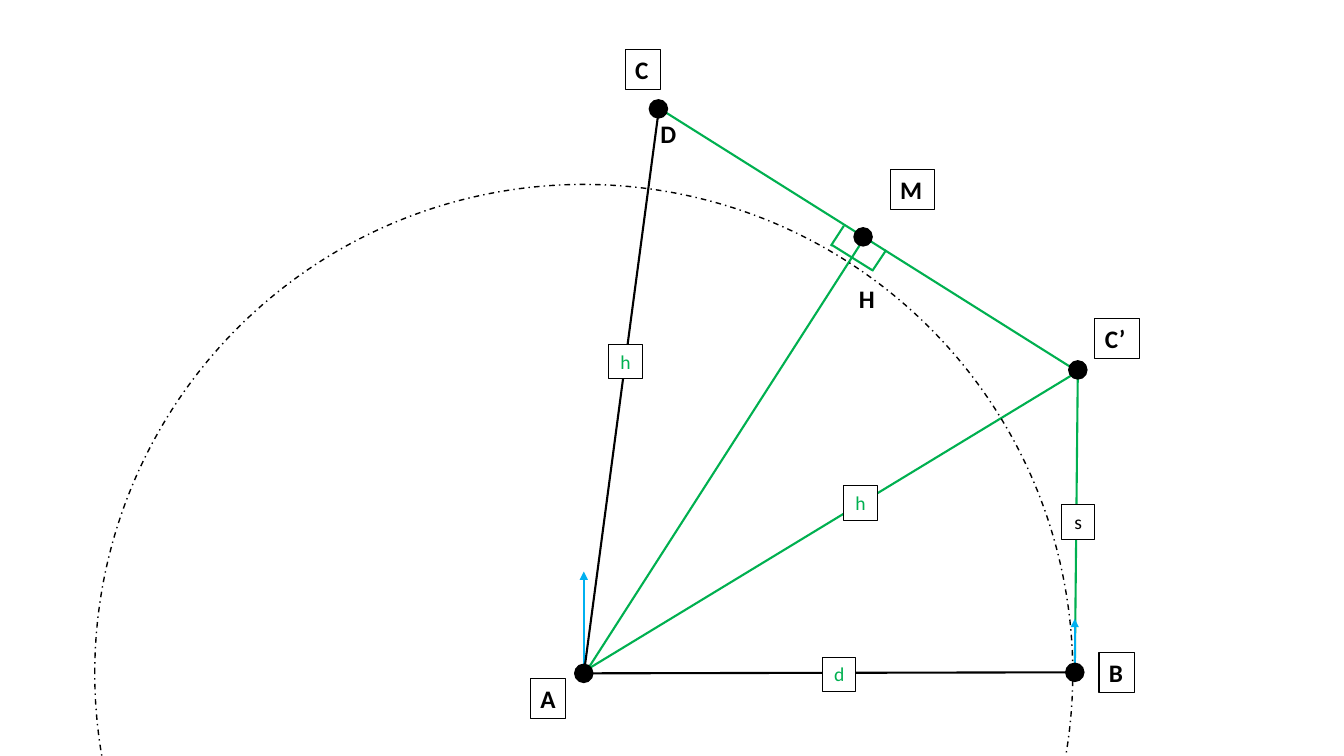
import pptx
import pptx.util
import pptx.dml.color
import pptx.enum.dml
import pptx.enum.shapes
import pptx.enum.text
import pptx.oxml
import pptx.oxml.ns
import lxml.etree

PX = 9144
BLACK, WHITE, GREEN, BLUE = "000000", "FFFFFF", "00B050", "00B0F0"
DOT = 18
RADIUS = 485

POINTS = {
    "A": (579, 668),
    "B": (1066, 667),
    "C": (653, 108),
    "C’": (1069, 367),
    "M": (856, 235),
}
SEGMENTS = [
    ((579, 668), (579, 567), BLUE, True),
    ((579, 670), (858, 235), GREEN, False),
    ((1066, 669), (1069, 369), GREEN, False),
    ((1068, 368), (653, 107), GREEN, True),
    ((586, 662), (1070, 368), GREEN, False),
    ((579, 669), (653, 112), BLACK, False),
    ((581, 668), (1065, 667), BLACK, False),
    ((865, 269), (879, 248), GREEN, False),
    ((824, 244), (837, 224), GREEN, False),
    ((865, 268), (825, 243), GREEN, False),
    ((1066, 673), (1066, 614), BLUE, True),
]
POINT_LABELS = [
    ("A", 526, 673, 35),
    ("B", 1090, 647, 35),
    ("C", 620, 49, 35),
    ("C’", 1086, 316, 44),
    ("M", 883, 168, 44),
]
ANGLE_LABELS = [("D", 645, 112, 32), ("H", 842, 276, 32)]
LENGTH_LABELS = [
    ("h", 604, 342, GREEN),
    ("s", 1053, 501, BLACK),
    ("d", 816, 652, GREEN),
    ("h", 837, 482, GREEN),
]


def px(length):
    return pptx.util.Emu(length * PX)


def color(value):
    return pptx.dml.color.RGBColor.from_string(value)


def set_line(line, value, width):
    line.color.rgb = color(value)
    line.width = pptx.util.Pt(width)


def add_segment(page, start, end, value, arrow):
    segment = page.shapes.add_connector(
        pptx.enum.shapes.MSO_CONNECTOR.STRAIGHT,
        px(start[0]), px(start[1]), px(end[0]), px(end[1]))
    set_line(segment.line, value, 1.5)
    if arrow:
        outline = segment.line._get_or_add_ln()
        lxml.etree.SubElement(
            outline, pptx.oxml.ns.qn("a:tailEnd"), type="triangle")
    properties = segment._element.spPr
    lxml.etree.SubElement(properties, pptx.oxml.ns.qn("a:effectLst"))


def add_circle(page, center, radius):
    circle = page.shapes.add_shape(
        pptx.enum.shapes.MSO_SHAPE.OVAL,
        px(center[0] - radius), px(center[1] - radius),
        px(2 * radius), px(2 * radius))
    circle.shadow.inherit = False
    circle.fill.background()
    set_line(circle.line, BLACK, 1)
    return circle


def add_label(page, text, left, top, width, height, size, value):
    box = page.shapes.add_textbox(px(left), px(top), px(width), px(height))
    frame = box.text_frame
    frame.word_wrap = False
    frame.auto_size = pptx.enum.text.MSO_AUTO_SIZE.SHAPE_TO_FIT_TEXT
    frame.text = text
    font = frame.paragraphs[0].runs[0].font
    font.name = "Calibri"
    font.size = pptx.util.Pt(size)
    font.color.rgb = color(value)
    return box


def draw_lines(page, left, top):
    for start, end, value, arrow in SEGMENTS:
        add_segment(page, (left + start[0], top + start[1]),
                    (left + end[0], top + end[1]), value, arrow)


def draw_circles(page, left, top):
    x, y = POINTS["A"]
    orbit = add_circle(page, (left + x, top + y), RADIUS)
    orbit.line.dash_style = pptx.enum.dml.MSO_LINE.DASH_DOT
    for x, y in POINTS.values():
        dot = add_circle(page, (left + x, top + y), DOT // 2)
        dot.fill.solid()
        dot.fill.fore_color.rgb = color(BLACK)


def draw_labels(page, left, top):
    for text, x, y, width in POINT_LABELS + ANGLE_LABELS:
        box = add_label(page, text, left + x, top + y, width, 40, 18, BLACK)
        box.text_frame.paragraphs[0].runs[0].font.bold = True
        if text in POINTS:
            set_line(box.line, BLACK, 0.75)
    for text, x, y, value in LENGTH_LABELS:
        box = add_label(page, text, left + x, top + y, 33, 34, 14, value)
        box.text_frame.paragraphs[0].alignment = pptx.enum.text.PP_ALIGN.CENTER
        box.fill.solid()
        box.fill.fore_color.rgb = color(WHITE)
        set_line(box.line, BLACK, 0.75)


def main():
    deck = pptx.Presentation()
    deck.slide_width, deck.slide_height = px(1333), px(750)
    page = deck.slides.add_slide(deck.slide_layouts[6])
    for draw in (draw_lines, draw_circles, draw_labels):
        draw(page, 0, 0)
    deck.save("out.pptx")


if __name__ == "__main__":
    main()
